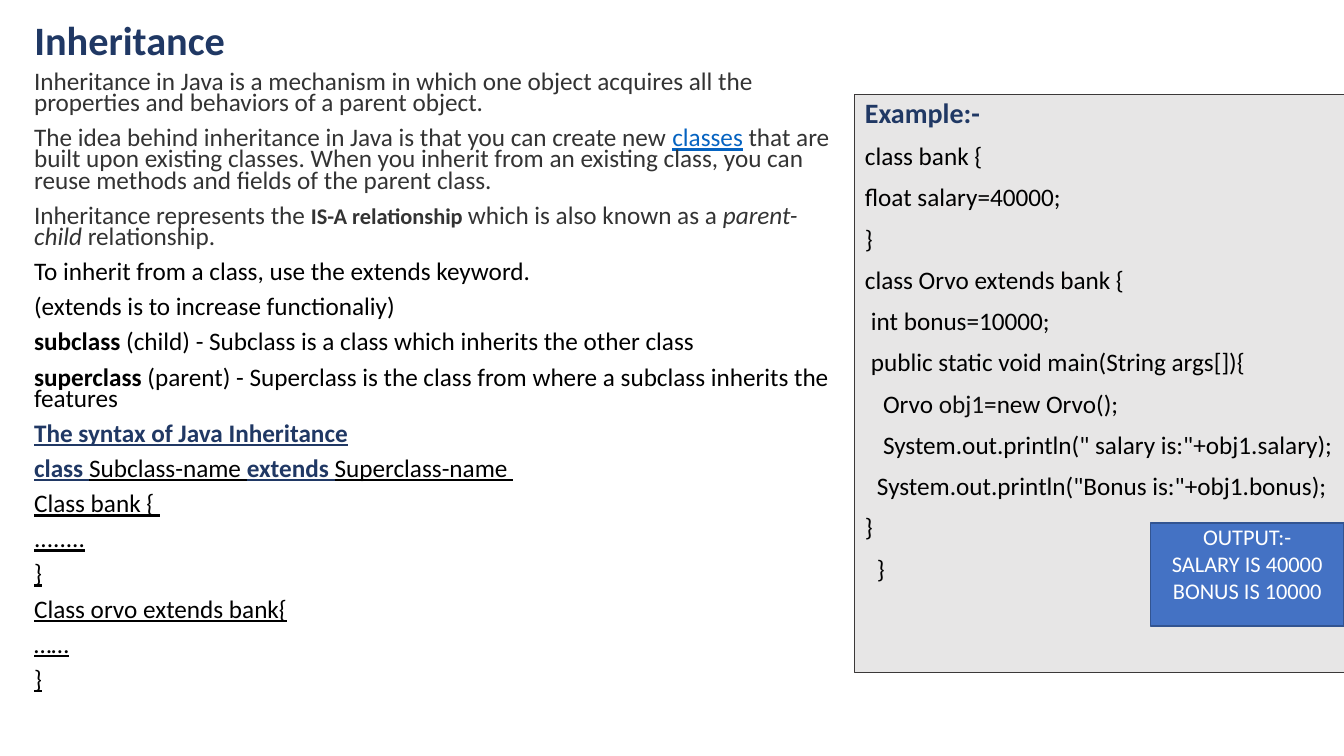
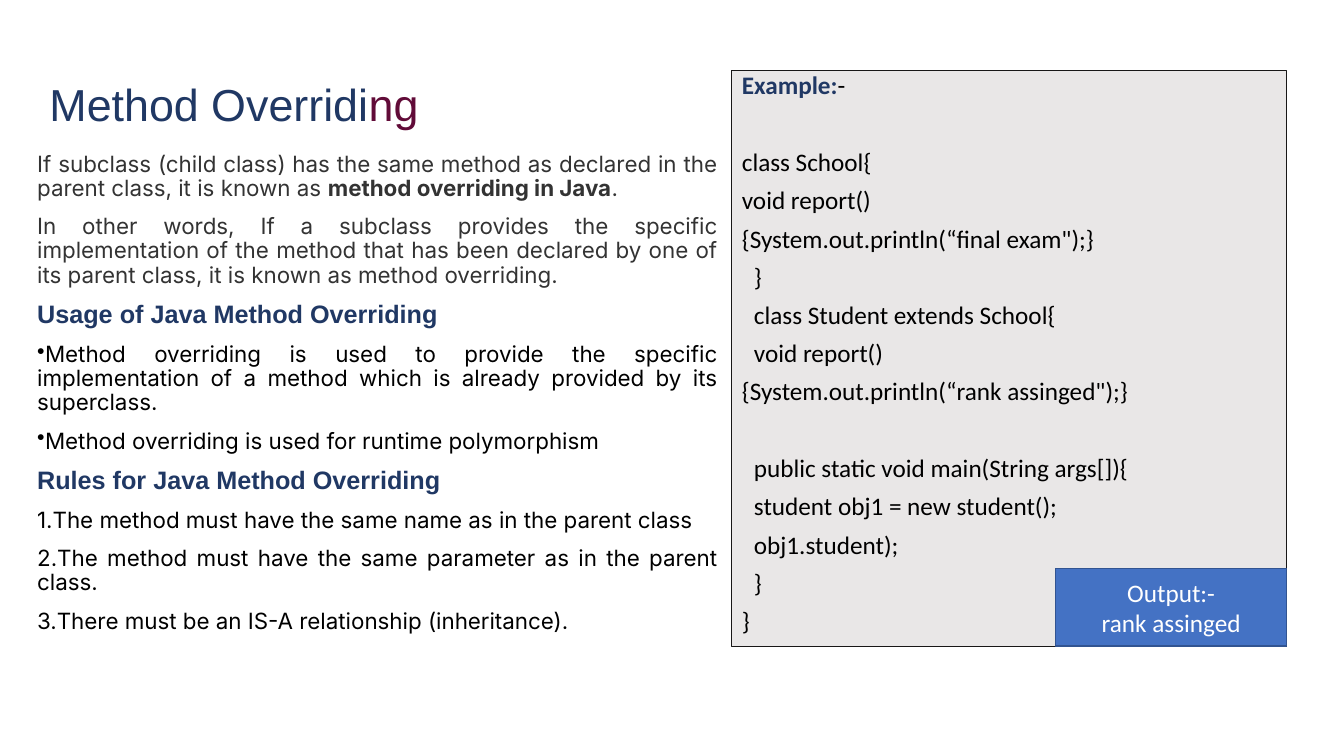
from dataclasses import dataclass

from lxml.etree import SubElement
from pptx import Presentation
from pptx.dml.color import RGBColor
from pptx.enum.shapes import MSO_SHAPE as Shape
from pptx.enum.text import MSO_ANCHOR as Anchor, MSO_AUTO_SIZE as AutoSize, PP_ALIGN as Align
from pptx.oxml.ns import qn
from pptx.util import Inches, Pt

NAVY, PLUM, CHARCOAL, BLACK, WHITE = "203864", "610B38", "333333", "000000", "FFFFFF"
LINK, NEAR_BLACK = "0563C1", "0D0D0D"
BLUE, BLUE_EDGE = "4472C4", "325491"
SPACE_WIDTH = 0.06
BLANK_LINE_GAP = 37.5


@dataclass(frozen=True)
class Box:
    """A position and size in inches."""
    left: float
    top: float
    width: float
    height: float


@dataclass(frozen=True)
class Run:
    """A piece of text, with what differs from its text style."""
    text: str
    color: str | None = None
    bold: bool = False
    italic: bool = False
    underline: bool = False
    size: float | None = None
    font: str | None = None


@dataclass(frozen=True)
class Line:
    """A paragraph of runs."""
    runs: tuple[Run, ...]
    before: float | None = None
    indent: float = 0
    bullet: str | None = None
    align: Align | None = None


@dataclass(frozen=True)
class Style:
    """The defaults of a block of text."""
    size: float
    color: str
    font: str = "Calibri"
    spacing: float = 1.0
    before: float = 0
    align: Align = Align.LEFT


@dataclass(frozen=True)
class Panel:
    """A filled rectangle with text."""
    box: Box
    fill: str
    edge: str
    weight: float
    style: Style
    lines: tuple[Line, ...]
    anchor: Anchor = Anchor.TOP
    top_margin: float = 0.05


@dataclass(frozen=True)
class Page:
    """The content of one slide."""
    title_box: Box
    title_style: Style
    title: tuple[Run, ...]
    body_box: Box
    body_style: Style
    body: tuple[Line, ...]
    panels: tuple[Panel, ...]


def rgb(color: str) -> RGBColor:
    """Turn a hex string into a colour."""
    return RGBColor.from_string(color)


def line(text: str, **options) -> Line:
    """Make a paragraph of one run."""
    return Line((Run(text),), **options)


def code(text: str, spaces: int = 0, before: float | None = None) -> Line:
    """Make a code line indented by a number of spaces."""
    return line(text, indent=spaces * SPACE_WIDTH, before=before)


def heading(text: str, **options) -> Line:
    """Make a bold navy paragraph."""
    return Line((Run(text, NAVY, bold=True, **options),))


def black(text: str, bullet: str | None = None) -> Line:
    """Make a plain black paragraph."""
    return Line((Run(text, BLACK),), bullet=bullet)


def term(word: str, meaning: str) -> Line:
    """Make a black paragraph led by a bold term."""
    return Line((Run(word, BLACK, bold=True), Run(meaning, BLACK)))


def syntax(*runs: Run) -> Line:
    """Make a justified paragraph."""
    return Line(runs, align=Align.JUSTIFY)


def write(text_frame, lines: tuple[Line, ...], style: Style, anchor: Anchor = Anchor.TOP) -> None:
    """Fill a text frame run by run."""
    text_frame.word_wrap = True
    text_frame.auto_size = AutoSize.NONE
    text_frame.vertical_anchor = anchor
    for index, item in enumerate(lines):
        paragraph = text_frame.add_paragraph() if index else text_frame.paragraphs[0]
        paragraph.alignment = style.align if item.align is None else item.align
        paragraph.line_spacing = style.spacing
        paragraph.space_before = Pt(style.before if item.before is None else item.before)
        properties = paragraph._p.get_or_add_pPr()
        properties.set("marL", str(Inches(item.indent)))
        properties.set("indent", "0")
        if item.bullet == "number":
            SubElement(properties, qn("a:buAutoNum"), type="arabicPeriod")
        elif item.bullet:
            SubElement(properties, qn("a:buChar"), char=item.bullet)
        for piece in item.runs:
            run = paragraph.add_run()
            run.text = piece.text
            font = run.font
            font.name = piece.font or style.font
            font.size = Pt(piece.size or style.size)
            font.color.rgb = rgb(piece.color or style.color)
            font.bold, font.italic, font.underline = piece.bold, piece.italic, piece.underline


def lengths(box: Box) -> tuple[int, ...]:
    """Give the four lengths of a box."""
    return tuple(Inches(value) for value in (box.left, box.top, box.width, box.height))


def draw_panel(slide, panel: Panel) -> None:
    """Draw a filled rectangle with its text."""
    shape = slide.shapes.add_shape(Shape.RECTANGLE, *lengths(panel.box))
    shape.shadow.inherit = False
    shape.fill.solid()
    shape.fill.fore_color.rgb = rgb(panel.fill)
    shape.line.color.rgb = rgb(panel.edge)
    shape.line.width = Pt(panel.weight)
    shape.text_frame.margin_top = Inches(panel.top_margin)
    write(shape.text_frame, panel.lines, panel.style, panel.anchor)


def draw_page(presentation, page: Page) -> None:
    """Add one slide with title, body and panels."""
    slide = presentation.slides.add_slide(presentation.slide_layouts[5])
    title = slide.shapes.title
    title.left, title.top, title.width, title.height = lengths(page.title_box)
    write(title.text_frame, (Line(page.title),), page.title_style, Anchor.BOTTOM)
    body = slide.shapes.add_textbox(*lengths(page.body_box))
    write(body.text_frame, page.body, page.body_style)
    for panel in page.panels:
        draw_panel(slide, panel)


def output_panel(box: Box, size: float, texts: tuple[str, ...], **options) -> Panel:
    """Make a blue panel of centred output."""
    style = Style(size, WHITE, align=Align.CENTER)
    return Panel(box, BLUE, BLUE_EDGE, 1, style, tuple(line(text) for text in texts), **options)


INHERITANCE = Page(
    title_box=Box(0.24, 0.13, 4.98, 0.56),
    title_style=Style(28.8, NAVY, spacing=0.9),
    title=(Run("Inheritance", bold=True),),
    body_box=Box(0.24, 0.68, 8.24, 6.82),
    body_style=Style(18, CHARCOAL, spacing=0.7, before=10),
    body=(
        line("Inheritance in Java is a mechanism in which one object acquires all the "
             "properties and behaviors of a parent object."),
        Line((
            Run("The idea behind inheritance in Java is that you can create new "),
            Run("classes", LINK, underline=True),
            Run(" that are built upon existing classes. When you inherit from an existing class, "
                "you can reuse methods and fields of the parent class."),
        )),
        Line((
            Run("Inheritance represents the "),
            Run("IS-A relationship ", bold=True, size=16),
            Run("which is also known as a "),
            Run("parent-child", italic=True),
            Run(" relationship."),
        )),
        black("To inherit from a class, use the extends keyword."),
        black("(extends is to increase functionaliy)"),
        term("subclass", " (child) - Subclass is a class which inherits the other class"),
        term("superclass", " (parent) - Superclass is the class from where a subclass "
             "inherits the features"),
        heading("The syntax of Java Inheritance", underline=True),
        syntax(
            Run("class", NAVY, bold=True, underline=True),
            Run(" ", NAVY, underline=True),
            Run("Subclass-name ", BLACK, underline=True),
            Run("extends", NAVY, bold=True, underline=True),
            Run(" ", NAVY, underline=True),
            Run("Superclass-name ", BLACK, underline=True),
        ),
        *(syntax(Run(text, BLACK, underline=True)) for text in (
            "Class bank { ", "........", "}", "Class orvo extends bank{", "……", "}")),
    ),
    panels=(
        Panel(
            Box(8.48, 0.94, 4.86, 5.73), "E7E6E6", "3B3838", 0.75,
            Style(18, BLACK, spacing=0.9, before=10),
            (
                heading("Example:-", size=20),
                code("class bank {"),
                code("float salary=40000;"),
                code("}"),
                code("class Orvo extends bank {"),
                code("int bonus=10000;", 1),
                code("public static void main(String args[]){", 1),
                Line((Run("Orvo "), Run("obj1", NEAR_BLACK), Run("=new Orvo();")),
                     indent=3 * SPACE_WIDTH),
                code('System.out.println(" salary is:"+obj1.salary);', 3),
                code('System.out.println("Bonus is:"+obj1.bonus);', 2),
                code("}"),
                code("}", 2),
            ),
        ),
        output_panel(Box(11.41, 5.19, 1.92, 1.02), 16,
                     ("OUTPUT:-", "SALARY IS 40000", "BONUS IS 10000"), top_margin=0),
    ),
)

OVERRIDING = Page(
    title_box=Box(0.39, 0.58, 4.69, 0.77),
    title_style=Style(32, NAVY, "Arial", 0.9),
    title=(Run("Method Overridi"), Run("ng", PLUM)),
    body_box=Box(0.27, 1.47, 6.95, 4.95),
    body_style=Style(16, CHARCOAL, "Inter", 0.9, 10, Align.JUSTIFY),
    body=(
        Line((
            Run("If subclass (child class) has the same method as declared in the parent class, "
                "it is known as "),
            Run("method overriding in Java", bold=True),
            Run("."),
        )),
        line("In other words, If a subclass provides the specific implementation of the method "
             "that has been declared by one of its parent class, it is known as method overriding."),
        heading("Usage of Java Method Overriding", size=18, font="Arial"),
        black("Method overriding is used to provide the specific implementation of a method "
              "which is already provided by its superclass.", "•"),
        black("Method overriding is used for runtime polymorphism", "•"),
        heading("Rules for Java Method Overriding", size=18, font="Arial"),
        black("The method must have the same name as in the parent class", "number"),
        black("The method must have the same parameter as in the parent class.", "number"),
        black("There must be an IS-A relationship (inheritance).", "number"),
    ),
    panels=(
        Panel(
            Box(7.26, 0.7, 5.5, 5.71), "E9E7E7", "181717", 0.75,
            Style(18, BLACK, spacing=0.8, before=10),
            (
                Line((Run("Example:", NAVY, bold=True), Run("-"))),
                code("class School{", before=BLANK_LINE_GAP),
                code("void report()"),
                code('{System.out.println(“final exam");}'),
                code("}", 2),
                code("class Student extends School{", 2),
                code("void report()", 2),
                code('{System.out.println(“rank assinged");}'),
                code("public static void main(String args[]){", 2, BLANK_LINE_GAP),
                code("student obj1 = new student();", 2),
                code("obj1.student);", 2),
                code("}", 2),
                code("}"),
            ),
        ),
        output_panel(Box(10.47, 5.64, 2.29, 0.77), 18, ("Output:-", "rank assinged"),
                     anchor=Anchor.MIDDLE),
    ),
)


def main() -> None:
    """Build and save the presentation."""
    presentation = Presentation()
    presentation.slide_width, presentation.slide_height = Inches(13.33), Inches(7.5)
    for page in (INHERITANCE, OVERRIDING):
        draw_page(presentation, page)
    presentation.save("out.pptx")


if __name__ == "__main__":
    main()
